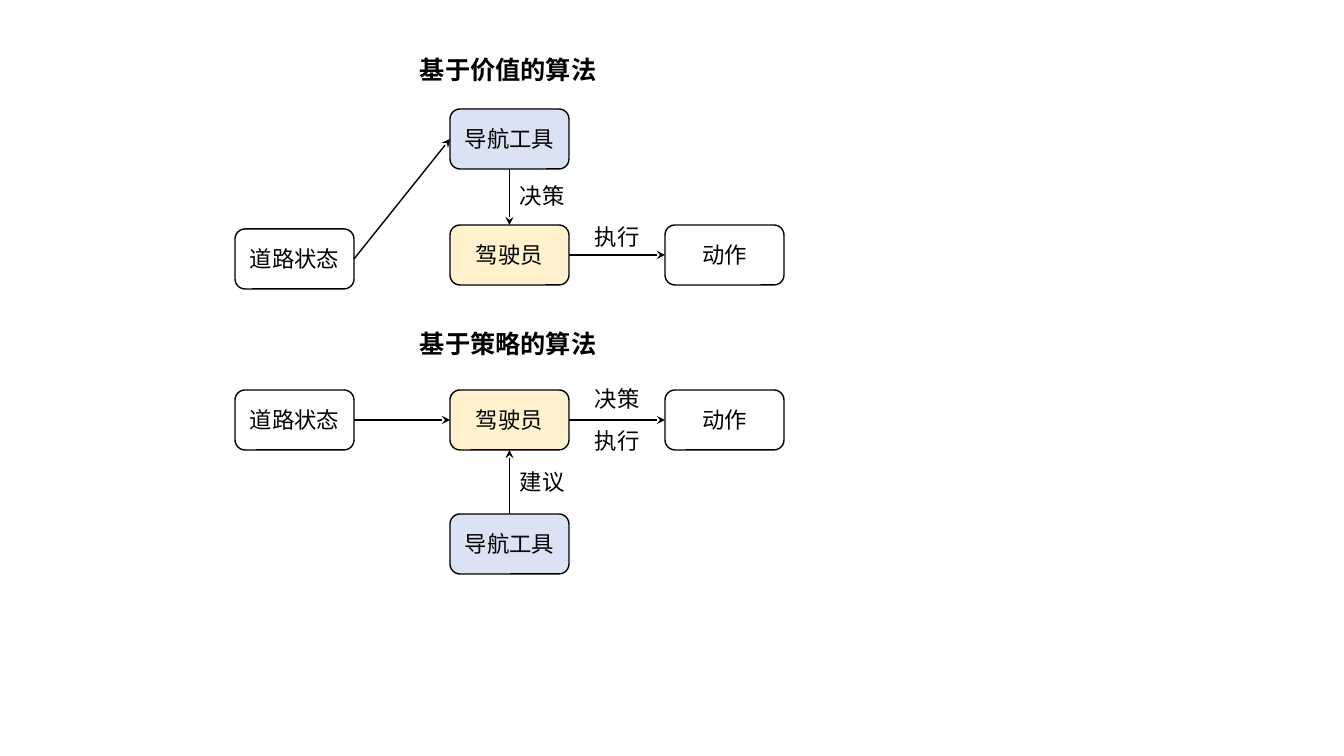
from dataclasses import dataclass

from lxml import etree
from pptx import Presentation
from pptx.dml.color import RGBColor
from pptx.enum.shapes import MSO_CONNECTOR, MSO_SHAPE
from pptx.enum.text import MSO_ANCHOR, MSO_AUTO_SIZE, PP_ALIGN
from pptx.oxml.ns import qn
from pptx.util import Pt

ROUND_RECT = MSO_SHAPE.ROUNDED_RECTANGLE
STRAIGHT = MSO_CONNECTOR.STRAIGHT
CENTER = PP_ALIGN.CENTER
MIDDLE = MSO_ANCHOR.MIDDLE
FIT_SHAPE = MSO_AUTO_SIZE.SHAPE_TO_FIT_TEXT

EMU_PER_PX = 914400 / 100.8
SLIDE_W, SLIDE_H = 1344, 756
BOX_W, BOX_H = 119, 60
STATE_X, DRIVER_X, ACTION_X = 235, 450, 665
HEADING_X, BESIDE_X, OVER_X = 410, 510, 585
TOP, LEFT, BOTTOM, RIGHT = range(4)  # connection sites of a rounded rectangle


@dataclass(frozen=True)
class Theme:
    """Colours, font and sizes of the slide."""
    ink: RGBColor = RGBColor(0, 0, 0)
    plain: RGBColor = RGBColor(0xFF, 0xFF, 0xFF)
    tool: RGBColor = RGBColor(0xDA, 0xE3, 0xF3)
    driver: RGBColor = RGBColor(0xFF, 0xF2, 0xCC)
    font: str = "Noto Sans CJK SC"
    body: int = 16
    heading: int = 18
    line: int = 1


THEME = Theme()


def px(n):
    """Turn pixels into EMU."""
    return round(n * EMU_PER_PX)


def add_run(p, text, size, bold=False):
    """Add one run in the theme font, for Latin and East Asian text."""
    r = p.add_run()
    r.text = text
    r.font.size = Pt(size)
    r.font.bold = bold
    r.font.color.rgb = THEME.ink
    r.font.name = THEME.font
    etree.SubElement(r.font._element, qn("a:ea"), typeface=THEME.font)


def add_box(slide, text, x, y, fill):
    """Add a rounded box with centred text."""
    sp = slide.shapes.add_shape(ROUND_RECT, px(x), px(y), px(BOX_W), px(BOX_H))
    sp.shadow.inherit = False
    sp.fill.solid()
    sp.fill.fore_color.rgb = fill
    sp.line.color.rgb = THEME.ink
    sp.line.width = Pt(THEME.line)
    tf = sp.text_frame
    tf.vertical_anchor = MIDDLE
    p = tf.paragraphs[0]
    p.alignment = CENTER
    add_run(p, text, THEME.body)
    return sp


def add_text(slide, text, x, y, w, h, size, bold=False):
    """Add an unwrapped text box."""
    tf = slide.shapes.add_textbox(px(x), px(y), px(w), px(h)).text_frame
    tf.word_wrap = False
    tf.auto_size = FIT_SHAPE
    add_run(tf.paragraphs[0], text, size, bold)


def add_heading(slide, text, y):
    """Add the heading of one diagram."""
    add_text(slide, text, HEADING_X, y, 199, 40, THEME.heading, bold=True)


def add_label(slide, text, x, y):
    """Add the label of an arrow."""
    add_text(slide, text, x, y, 65, 37, THEME.body)


def add_arrow(slide, start, start_site, end, end_site):
    """Join two boxes with an arrow glued to their connection sites."""
    cxn = slide.shapes.add_connector(STRAIGHT, 0, 0, 0, 0)
    cxn.begin_connect(start, start_site)
    cxn.end_connect(end, end_site)
    cxn.line.color.rgb = THEME.ink
    cxn.line.width = Pt(THEME.line)
    etree.SubElement(cxn.line._get_or_add_ln(), qn("a:tailEnd"), type="stealth")
    etree.SubElement(cxn._element.spPr, qn("a:effectLst"))


def add_diagram(slide, heading, heading_y, state_y, driver_y, tool_y):
    """Add a heading and the four boxes, with the arrow from driver to action."""
    add_heading(slide, heading, heading_y)
    state = add_box(slide, "道路状态", STATE_X, state_y, THEME.plain)
    driver = add_box(slide, "驾驶员", DRIVER_X, driver_y, THEME.driver)
    action = add_box(slide, "动作", ACTION_X, driver_y, THEME.plain)
    tool = add_box(slide, "导航工具", DRIVER_X, tool_y, THEME.tool)
    add_arrow(slide, driver, RIGHT, action, LEFT)
    return state, driver, tool


def main():
    """Build the slide and save it."""
    prs = Presentation()
    prs.slide_width, prs.slide_height = px(SLIDE_W), px(SLIDE_H)
    slide = prs.slides.add_slide(prs.slide_layouts[6])

    state, driver, tool = add_diagram(slide, "基于价值的算法", 49, 229, 225, 109)
    add_arrow(slide, state, RIGHT, tool, LEFT)
    add_arrow(slide, tool, BOTTOM, driver, TOP)

    state, driver, tool = add_diagram(slide, "基于策略的算法", 323, 390, 390, 514)
    add_arrow(slide, state, RIGHT, driver, LEFT)
    add_arrow(slide, tool, TOP, driver, BOTTOM)

    for text, x, y in (
        ("决策", BESIDE_X, 177),
        ("执行", OVER_X, 218),
        ("决策", OVER_X, 380),
        ("执行", OVER_X, 422),
        ("建议", BESIDE_X, 463),
    ):
        add_label(slide, text, x, y)

    prs.save("out.pptx")


main()
